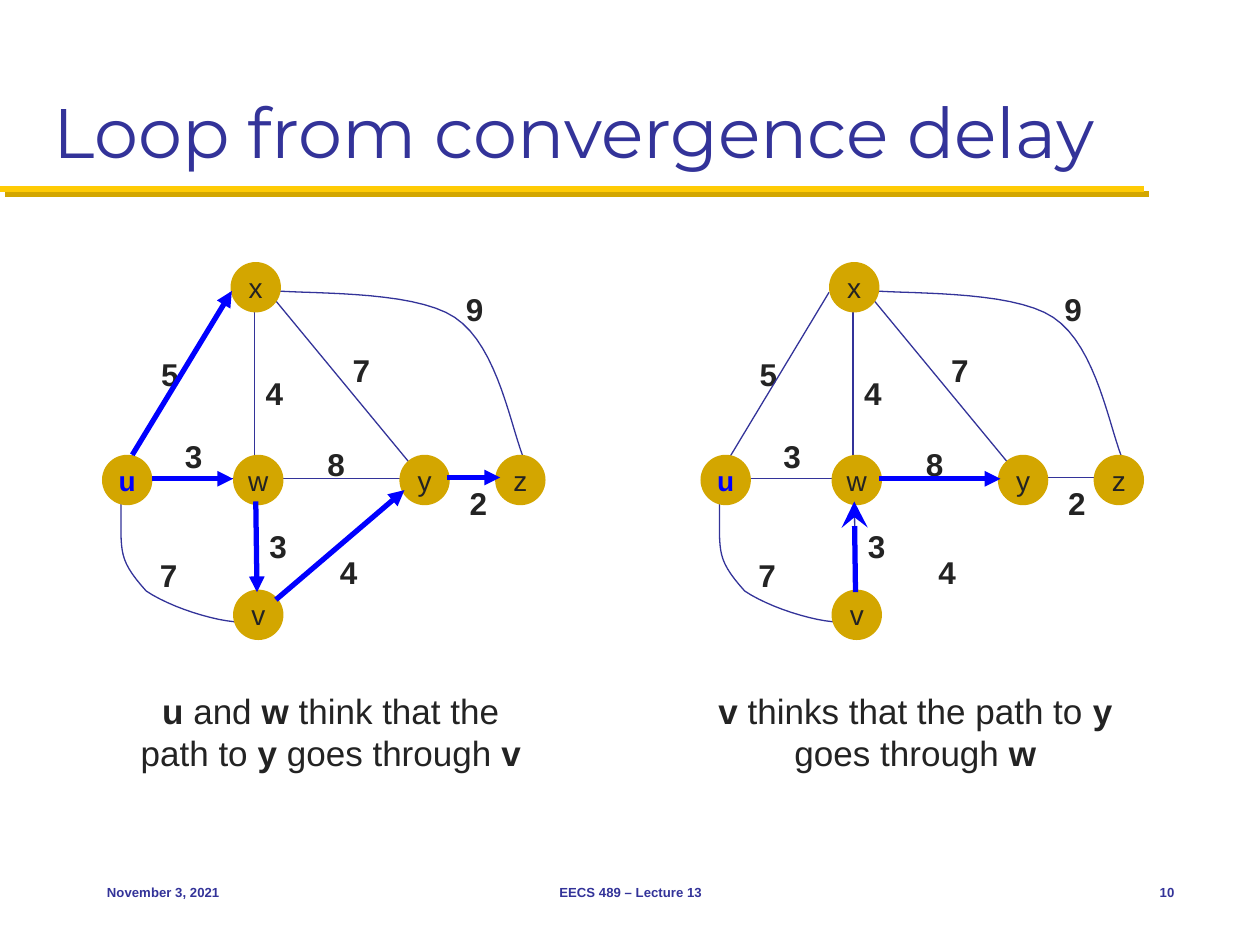
from lxml.etree import SubElement
from pptx import Presentation
from pptx.dml.color import RGBColor
from pptx.enum.shapes import MSO_CONNECTOR as Connector, MSO_SHAPE as Shape
from pptx.enum.text import MSO_ANCHOR as Anchor, MSO_AUTO_SIZE as AutoSize, PP_ALIGN as Align
from pptx.oxml.ns import qn
from pptx.util import Inches, Pt

NAVY = RGBColor(0x33, 0x33, 0x99)
MAIZE = RGBColor(0xFF, 0xCB, 0x05)
GOLD = RGBColor(0xD3, 0xA6, 0x00)
BLUE = RGBColor(0x00, 0x00, 0xFF)
INK = RGBColor(0x23, 0x23, 0x23)

NODE_SIZE = 0.4
PANEL_GAP = 4.75  # from the left graph to the right graph

NODES = {"x": (1.83, 2.08), "u": (0.81, 3.61), "z": (3.93, 3.61),
         "v": (1.85, 4.68), "y": (3.17, 3.61), "w": (1.85, 3.61)}
COSTS = [("3", 1.37, 3.42), ("4", 2.01, 2.92), ("5", 1.18, 2.77),
         ("3", 2.04, 4.13), ("7", 1.17, 4.36), ("4", 2.6, 4.34),
         ("8", 2.5, 3.48), ("2", 3.63, 3.79), ("7", 2.7, 2.74), ("9", 3.6, 2.25)]
EDGES = [((1.13, 3.8), (1.93, 3.8)),    # u-w
         ((2.02, 2.4), (2.02, 3.66)),   # x-w
         ((1.83, 2.32), (0.98, 3.73)),  # x-u
         ((2.03, 3.87), (2.04, 4.79)),  # w-v
         ((3.55, 3.79), (3.99, 3.79)),  # y-z
         ((2.1, 2.28), (3.33, 3.77)),   # x-y
         ((2.23, 3.8), (3.19, 3.8))]    # w-y
# Curved edges: a start point, then two cubic segments of three points each
CURVES = [[(0.96, 3.89), (0.97, 4.37), (0.91, 4.41), (1.16, 4.69),
           (1.41, 4.86), (1.97, 5.01), (2.05, 4.9)],   # u-v
          [(2.1, 2.3), (2.36, 2.34), (3.27, 2.29), (3.61, 2.52),
           (3.96, 2.75), (4.06, 3.43), (4.17, 3.67)]]  # x-z
LEFT_ROUTES = [((3.55, 3.79), (3.97, 3.79)), ((2.03, 3.98), (2.04, 4.7)),
               ((1.05, 3.61), (1.84, 2.31)), ((1.21, 3.8), (1.85, 3.8)),
               ((2.19, 4.76), (3.21, 3.89))]


def cubic(points, steps=16):
    """Points along a chain of cubic segments."""
    track = [points[0]]
    for first in range(0, len(points) - 1, 3):
        corners = points[first:first + 4]
        for step in range(1, steps + 1):
            t = step / steps
            weights = ((1 - t) ** 3, 3 * t * (1 - t) ** 2, 3 * t * t * (1 - t), t ** 3)
            track.append(tuple(sum(weight * corner[axis] for weight, corner in zip(weights, corners))
                               for axis in (0, 1)))
    return track


class SlideBuilder:
    font = "Arial"
    thin = 0.75
    thick = 3

    def __init__(self, slide):
        self.shapes = slide.shapes

    def add_spans(self, frame, spans, size, color, align, font=None):
        """Fill a frame with (text, bold) spans."""
        para = frame.paragraphs[0]
        para.alignment = align
        for text, bold in spans:
            span = para.add_run()
            span.text = text
            span.font.name = font or self.font
            span.font.size = Pt(size)
            span.font.bold = bold
            span.font.color.rgb = color

    def text(self, spans, left, top, width, height, size, color=INK, align=Align.CENTER,
             anchor=Anchor.TOP, wrap=True, grow=False, font=None):
        box = self.shapes.add_textbox(Inches(left), Inches(top), Inches(width), Inches(height))
        frame = box.text_frame
        frame.word_wrap = wrap
        frame.auto_size = AutoSize.SHAPE_TO_FIT_TEXT if grow else AutoSize.NONE
        frame.vertical_anchor = anchor
        self.add_spans(frame, spans, size, color, align, font)

    def line(self, start, end, color=NAVY, width=thin):
        line = self.shapes.add_connector(Connector.STRAIGHT, *map(Inches, start + end))
        line.line.color.rgb = color
        line.line.width = Pt(width)
        SubElement(line._element.spPr, qn("a:effectLst"))
        return line

    def route(self, start, end, head="triangle", size="med"):
        arrow = self.line(start, end, BLUE, self.thick)
        outline = arrow._element.spPr.find(qn("a:ln"))
        SubElement(outline, qn("a:tailEnd"), type=head, w=size, len=size)

    def rule(self, start, end):
        """Title rule with a solid offset shadow."""
        rule = self.line(start, end, MAIZE, 3.5)
        effects = rule._element.spPr.find(qn("a:effectLst"))
        shadow = SubElement(effects, qn("a:outerShdw"), dist=str(Pt(4.2)), dir="2700000",
                            algn="ctr", rotWithShape="0")
        SubElement(shadow, qn("a:srgbClr"), val=str(GOLD))

    def curve(self, points):
        track = [(Inches(x), Inches(y)) for x, y in cubic(points)]
        builder = self.shapes.build_freeform(*track[0])
        builder.add_line_segments(track[1:], close=False)
        curve = builder.convert_to_shape()
        curve.shadow.inherit = False
        curve.fill.background()
        curve.line.color.rgb = NAVY
        curve.line.width = Pt(self.thin)

    def node(self, name, left, top):
        node = self.shapes.add_shape(Shape.OVAL, Inches(left), Inches(top),
                                     Inches(NODE_SIZE), Inches(NODE_SIZE))
        node.shadow.inherit = False
        node.fill.solid()
        node.fill.fore_color.rgb = GOLD
        node.line.fill.background()
        frame = node.text_frame
        frame.margin_left = frame.margin_right = frame.margin_top = frame.margin_bottom = 0
        frame.word_wrap = False
        frame.vertical_anchor = Anchor.MIDDLE
        source = name == "u"
        self.add_spans(frame, [(name, source)], 16, BLUE if source else INK, Align.CENTER)

    def graph(self, shift):
        def moved(point):
            return point[0] + shift, point[1]

        for cost, left, top in COSTS:
            self.text([(cost, True)], left + shift, top, 0.27, 0.32, 18, wrap=False, grow=True)
        for start, end in EDGES:
            self.line(moved(start), moved(end))
        for points in CURVES:
            self.curve([moved(point) for point in points])
        for name, place in NODES.items():
            self.node(name, *moved(place))

    def caption(self, left, spans):
        self.text(spans, left, 5.42, 3.41, 0.77, 20, grow=True)

    def footer(self, text, left, width, align):
        self.text([(text, True)], left, 6.83, width, 0.5, 7.5, NAVY, align, Anchor.MIDDLE)


def main():
    deck = Presentation()
    deck.slide_width, deck.slide_height = Inches(10), Inches(7.5)
    page = SlideBuilder(deck.slides.add_slide(deck.slide_layouts[6]))

    # Title
    page.rule((0, 1.5), (9.08, 1.5))
    page.text([("Loop from convergence delay", False)], 0.33, 0.17, 9.33, 1.25, 40, NAVY,
              Align.LEFT, Anchor.BOTTOM, font="Montserrat")

    # Left graph: routes through v
    page.graph(0)
    for start, end in LEFT_ROUTES:
        page.route(start, end)
    page.caption(0.92, [("u", True), (" and ", False), ("w", True),
                        (" think that the path to ", False), ("y", True),
                        (" goes through ", False), ("v", True)])

    # Right graph: route through w
    page.graph(PANEL_GAP)
    page.route((6.98, 3.8), (7.94, 3.8))
    page.route((6.79, 4.7), (6.78, 3.98), "stealth", "lg")
    page.caption(5.56, [("v", True), (" thinks that the path to ", False), ("y", True),
                        (" goes through ", False), ("w", True)])

    # Footer
    page.footer("November 3, 2021", 0.75, 2.08, Align.LEFT)
    page.footer("EECS 489 – Lecture 13", 3.42, 3.17, Align.CENTER)
    page.footer("10", 8.75, 0.67, Align.RIGHT)

    deck.save("out.pptx")


if __name__ == "__main__":
    main()
